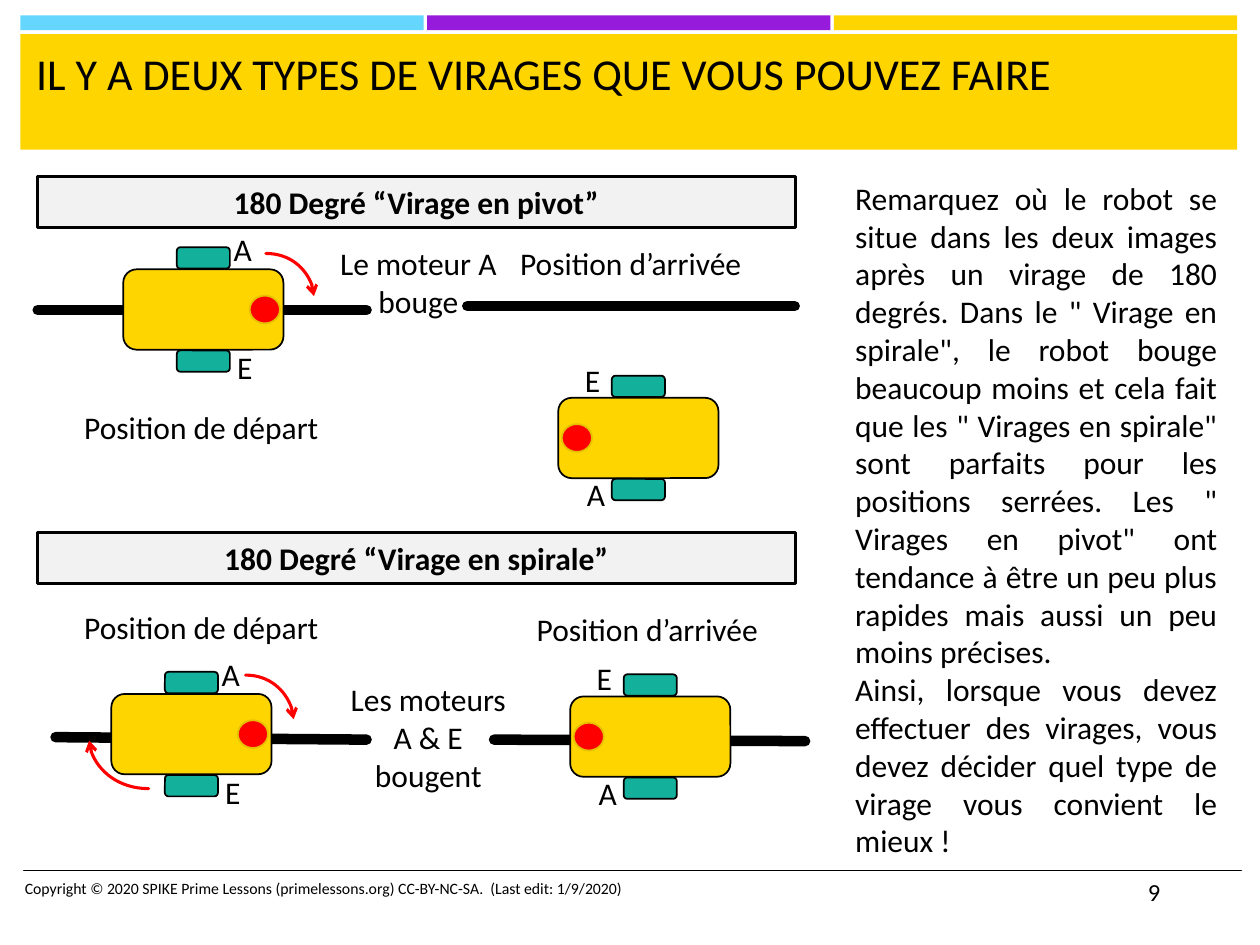
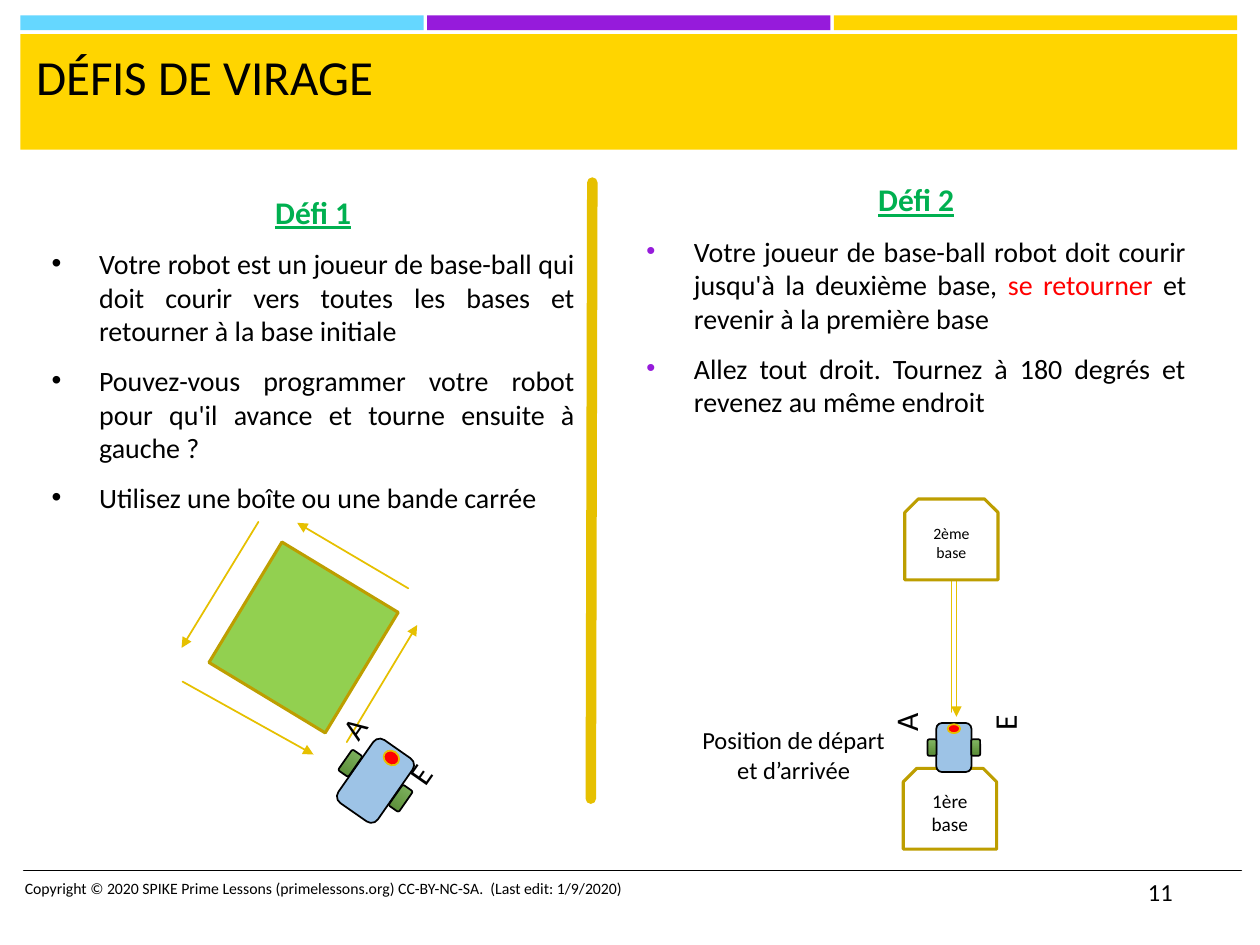
from math import cos, radians, sin

from lxml import etree
from pptx import Presentation
from pptx.dml.color import RGBColor
from pptx.enum.shapes import MSO_CONNECTOR as LINE, MSO_SHAPE as SHAPE
from pptx.enum.text import MSO_ANCHOR as ANCHOR, PP_ALIGN as ALIGN
from pptx.oxml.ns import qn
from pptx.util import Cm, Pt

FONT = "Calibri"
BLACK = RGBColor(0x00, 0x00, 0x00)
WHITE = RGBColor(0xFF, 0xFF, 0xFF)
GREY = RGBColor(0xF2, 0xF2, 0xF2)
SKY = RGBColor(0x65, 0xD7, 0xFF)
PURPLE = RGBColor(0x96, 0x1B, 0xDB)
YELLOW = RGBColor(0xFF, 0xD5, 0x00)
GOLD = RGBColor(0xE6, 0xC0, 0x00)
DARK_GOLD = RGBColor(0xBD, 0x9E, 0x00)
RED = RGBColor(0xFF, 0x00, 0x00)
TEAL = RGBColor(0x13, 0xB0, 0x9B)
GREEN = RGBColor(0x00, 0xB0, 0x50)
LIME = RGBColor(0x92, 0xD0, 0x50)
BLUE = RGBColor(0x9D, 0xC3, 0xE6)
WHEEL_GREENS = [RGBColor(0x83, 0xB7, 0x63), RGBColor(0x5E, 0x91, 0x3C)]


def draw(s, kind, x, y, w, h, fill=None, line=None, width=1, rot=0, head=None, centred=False):
    """Draw a text box (kind None), a shape, or a connector running by (w, h)."""
    if centred:
        x, y = x - w / 2, y - h / 2
    if isinstance(kind, LINE):
        sp = s.shapes.add_connector(kind, Cm(x), Cm(y), Cm(x + w), Cm(y + h))
        pr = sp._element.spPr
        if kind == LINE.CURVE:
            pr.find(qn("a:prstGeom")).set("prst", "curvedConnector2")
        sp.line.color.rgb, sp.line.width = line, Pt(width)
        ln = pr.find(qn("a:ln"))
        ln.set("cap", "rnd")
        if head:
            etree.SubElement(ln, qn("a:tailEnd"), type=head)
        etree.SubElement(pr, qn("a:effectLst"))
        return sp
    box = Cm(x), Cm(y), Cm(w), Cm(h)
    if kind is None:
        sp = s.shapes.add_textbox(*box)
    else:
        sp = s.shapes.add_shape(kind, *box)
        sp.shadow.inherit = False
        if isinstance(fill, list):
            sp.fill.gradient()
            sp.fill.gradient_angle = 270
            for stop, color, pos in zip(sp.fill.gradient_stops, fill, (0, 0.84)):
                stop.color.rgb, stop.position = color, pos
        else:
            sp.fill.solid()
            sp.fill.fore_color.rgb = fill
        if line is None:
            sp.line.fill.background()
        else:
            sp.line.color.rgb, sp.line.width = line, Pt(width)
    sp.rotation = rot
    return sp


def write(sp, text, size=18, color=BLACK, bold=False, underline=False, align=ALIGN.LEFT,
          anchor=ANCHOR.TOP, bullet=None, before=0, after=0):
    """Add one paragraph; text is a string or a list of (text, colour) runs."""
    tf = sp.text_frame
    tf.word_wrap, tf.vertical_anchor = True, anchor
    first = not tf.text
    p = tf.paragraphs[0] if first else tf.add_paragraph()
    p.alignment, p.space_after = align, Pt(after)
    p.space_before = Pt(0 if first else before)
    if bullet is not None:
        pPr = p._p.get_or_add_pPr()
        pPr.set("marL", str(Cm(0.96)))
        pPr.set("indent", str(-Cm(0.96)))
        clr = etree.SubElement(pPr, qn("a:buClr"))
        etree.SubElement(clr, qn("a:srgbClr"), val=str(bullet))
        if bullet != BLACK:
            etree.SubElement(pPr, qn("a:buSzPct"), val="92000")
        etree.SubElement(pPr, qn("a:buFont"), typeface="Arial")
        etree.SubElement(pPr, qn("a:buChar"), char="•")
    for part, part_color in [(text, color)] if isinstance(text, str) else text:
        r = p.add_run()
        r.text = part
        f = r.font
        f.name, f.size, f.bold, f.underline = FONT, Pt(size), bold, underline
        f.color.rgb = part_color


prs = Presentation()
prs.slide_width, prs.slide_height = Cm(25.4), Cm(19.05)

# Shared bands, title and footer
slides = []
for title, title_size, number in [
    ("IL Y A DEUX TYPES DE VIRAGES QUE VOUS POUVEZ FAIRE", 25.2, "9"),
    ("DÉFIS DE VIRAGE", 28, "11"),
]:
    s = prs.slides.add_slide(prs.slide_layouts[6])
    for i, color in enumerate((SKY, PURPLE, YELLOW)):
        draw(s, SHAPE.RECTANGLE, 0.41 + 8.2 * i, 0.31, 8.13, 0.3, color)
    draw(s, SHAPE.RECTANGLE, 0.41, 0.69, 24.53, 2.33, YELLOW)
    draw(s, LINE.STRAIGHT, 0.48, 17.55, 24.54, 0, line=BLACK)
    write(draw(s, None, 0.48, 0.81, 24.31, 2.08), title, size=title_size)
    write(draw(s, None, 0.25, 17.58, 13.54, 1.02),
          "Copyright © 2020 SPIKE Prime Lessons (primelessons.org) CC-BY-NC-SA.  "
          "(Last edit: 1/9/2020)", size=9)
    write(draw(s, None, 22.89, 17.55, 2.13, 1.02), number, size=14)
    slides.append(s)

# Slide 1: tracks under the robots
s = slides[0]
for x, y, w, h in [(9.96, 14.91, 6.27, 0.03), (1.12, 14.86, 6.27, 0.05),
                   (0.76, 6.25, 6.63, 0), (9.42, 6.17, 6.6, 0)]:
    draw(s, LINE.STRAIGHT, x, y, w, h, line=BLACK, width=6)

# Headings of the two turns
for y, heading in [(3.56, "180 Degré “Virage en pivot”"),
                   (10.74, "180 Degré “Virage en spirale”")]:
    sp = draw(s, SHAPE.RECTANGLE, 0.76, y, 15.27, 1.02, GREY, BLACK, 1.75)
    write(sp, heading, bold=True, align=ALIGN.CENTER, anchor=ANCHOR.MIDDLE)

# Captions
for x, y, w, lines in [
    (0.76, 8.1, 6.6, ["Position de départ"]),
    (9.4, 4.8, 6.63, ["Position d’arrivée"]),
    (6.58, 4.8, 3.71, ["Le moteur A", "bouge"]),
    (0.76, 12.14, 6.6, ["Position de départ"]),
    (9.86, 12.17, 6.38, ["Position d’arrivée"]),
    (6.78, 13.59, 3.71, ["Les moteurs A & E", "bougent"]),
]:
    sp = draw(s, None, x, y, w, 1.02)
    for caption in lines:
        write(sp, caption, align=ALIGN.CENTER)

# Robots: centre and direction faced (1 right, -1 left)
for cx, cy, facing in [(4.1, 6.24, 1), (12.87, 8.83, -1), (3.86, 14.8, 1), (13.11, 14.85, -1)]:
    draw(s, SHAPE.ROUNDED_RECTANGLE, cx, cy, 3.23, 1.62, YELLOW, BLACK, centred=True)
    for side in (-1, 1):
        draw(s, SHAPE.ROUNDED_RECTANGLE, cx, cy + 1.04 * side, 1.07, 0.43, TEAL, BLACK,
             centred=True)
    draw(s, SHAPE.OVAL, cx + 1.24 * facing, cy, 0.61, 0.56, RED, GOLD, centred=True)
    if facing == 1:
        motors = [("A", 0.36, -1.73), ("E", 0.43, 0.66)]
    else:
        motors = [("E", -1.33, -1.68), ("A", -1.29, 0.62)]
    for motor, dx, dy in motors:
        write(draw(s, None, cx + dx, cy + dy, 1.3, 1.02), motor)

# Turning arrows
for x, y, w, h in [(5.36, 5.11, 0.97, 0.86), (4.95, 13.61, 0.97, 0.89),
                   (3, 15.9, -1.2, -0.97)]:
    draw(s, LINE.CURVE, x, y, w, h, line=RED, width=1.75, head="arrow")

# Explanation
sp = draw(s, None, 16.99, 3.48, 7.8, 14.1)
for text in [
    "Remarquez où le robot se situe dans les deux images après un virage de 180 degrés. "
    "Dans le \" Virage en spirale\", le robot bouge beaucoup moins et cela fait que les "
    "\" Virages en spirale\" sont parfaits pour les positions serrées. Les \" Virages en "
    "pivot\" ont tendance à être un peu plus rapides mais aussi un peu moins précises.",
    "Ainsi, lorsque vous devez effectuer des virages, vous devez décider quel type de "
    "virage vous convient le mieux !",
]:
    write(sp, text, align=ALIGN.JUSTIFY)

# Slide 2: the two challenges
s = slides[1]
for x, y, w, h, heading, bullet, items in [
    (0.79, 3.76, 11.05, 6.05, "Défi 1", BLACK, [
        "Votre robot est un joueur de base-ball qui doit courir vers toutes les bases "
        "et retourner à la base initiale",
        "Pouvez-vous programmer votre robot pour qu'il avance et tourne ensuite à gauche ?",
        "Utilisez une boîte ou une bande carrée"]),
    (12.78, 3.51, 11.38, 12.14, "Défi 2", PURPLE, [
        [("Votre joueur de base-ball robot doit courir jusqu'à la deuxième base, ", BLACK),
         ("se retourner ", RED), ("et revenir à la première base", BLACK)],
        "Allez tout droit. Tournez à 180 degrés et revenez au même endroit"]),
]:
    sp = draw(s, None, x, y, w, h)
    write(sp, heading, color=GREEN, bold=True, underline=True, align=ALIGN.CENTER, after=6)
    for item in items:
        write(sp, item, size=16, align=ALIGN.JUSTIFY, bullet=bullet, before=3.2, after=6)

# Divider and square field
draw(s, LINE.STRAIGHT, 11.91, 16.1, 0.03, -12.42, line=GOLD, width=6)
draw(s, SHAPE.RECTANGLE, 4.7, 11.48, 2.84, 2.74, LIME, DARK_GOLD, 1.75, rot=301.2)

# Paths around the field, then to second base and back
for x, y, w, h in [(5.21, 10.52, -1.55, 2.54), (8.23, 11.86, -2.24, -1.32),
                   (6.99, 14.96, 1.42, -2.36), (3.68, 13.74, 2.64, 1.47),
                   (19.18, 14.35, 0, -2.95), (19.28, 11.68, 0, 2.77)]:
    draw(s, LINE.STRAIGHT, x, y, w, h, line=GOLD, head="triangle")

# Bases
for x, y, base, size in [(18.21, 15.49, "1ère base", 11), (18.24, 10.06, "2ème base", 9)]:
    sp = draw(s, SHAPE.SNIP_2_SAME_RECTANGLE, x, y, 1.88, 1.63, WHITE, DARK_GOLD, 1.75)
    write(sp, base, size=size, align=ALIGN.CENTER, anchor=ANCHOR.MIDDLE)
write(draw(s, None, 13.84, 14.5, 4.32, 1.45), "Position de départ et d’arrivée",
      size=14, align=ALIGN.CENTER)

# Robots: each part is placed from the centre, then turned by the heading
for cx, cy, heading, body, wheel, axle, dot, front, a_x, e_x, label_y in [
    (7.57, 15.74, 34.9, (0.97, 1.55), (0.25, 0.51), 0.62, (0.33, 0.28), 0.56, -0.97, 0.65, -0.62),
    (19.23, 15.07, 0, (0.71, 0.99), (0.18, 0.33), 0.44, (0.25, 0.18), 0.38, -0.97, 1.02, -0.5),
]:
    c, d = cos(radians(heading)), sin(radians(heading))
    for kind, dx, dy, size, fill, line, label in [
        (SHAPE.ROUNDED_RECTANGLE, 0, 0, body, BLUE, BLACK, None),
        (SHAPE.ROUNDED_RECTANGLE, axle, 0, wheel, WHEEL_GREENS, BLACK, None),
        (SHAPE.ROUNDED_RECTANGLE, -axle, 0, wheel, WHEEL_GREENS, BLACK, None),
        (SHAPE.OVAL, 0, -front, dot, RED, GOLD, None),
        (None, a_x, label_y, (1.02, 1.02), None, None, "A"),
        (None, e_x, label_y, (1.02, 1.02), None, None, "E"),
    ]:
        sp = draw(s, kind, cx + dx * c - dy * d, cy + dx * d + dy * c, *size, fill, line,
                  rot=heading - (90 if label else 0), centred=True)
        if label:
            write(sp, label, align=ALIGN.CENTER)

prs.save("out.pptx")
